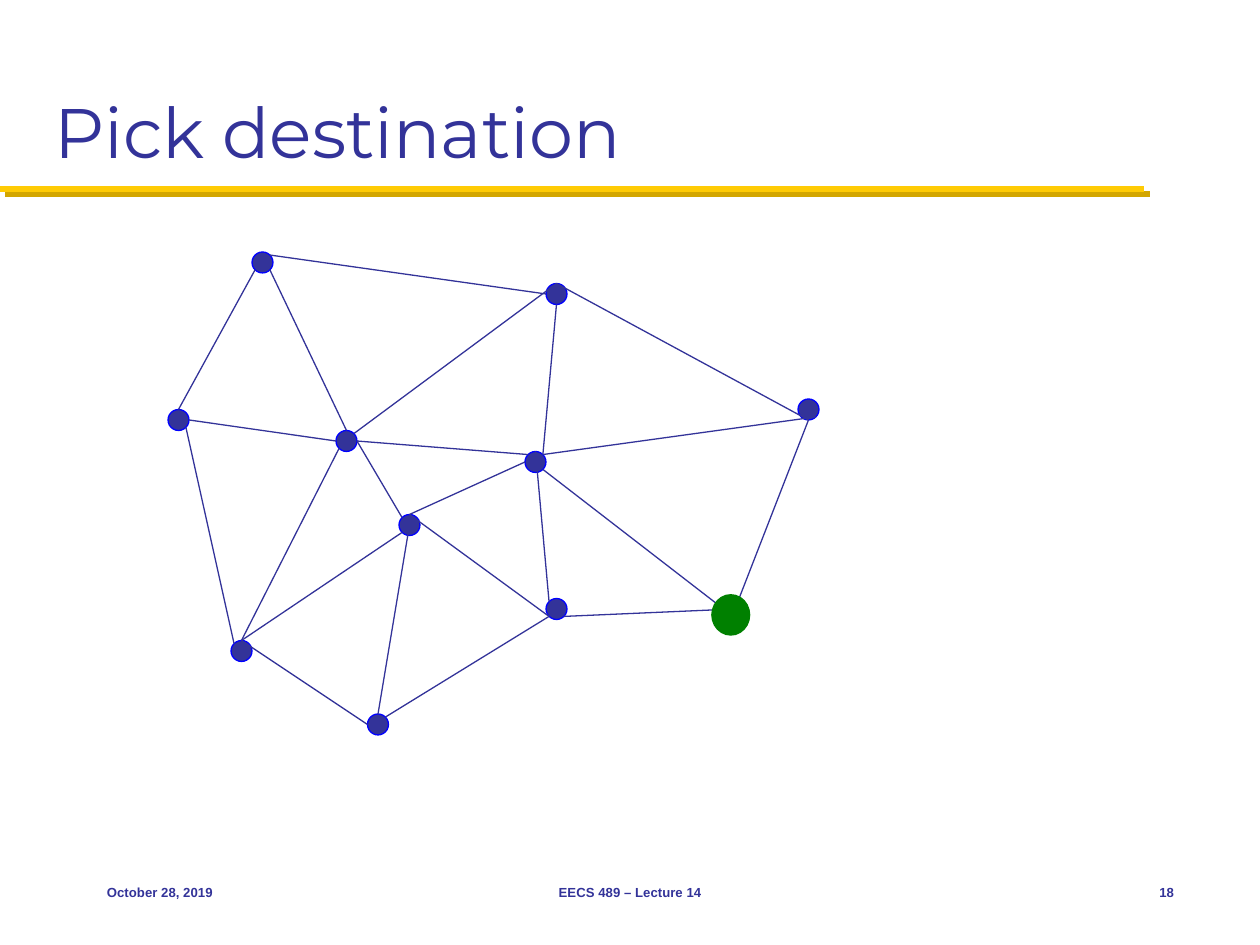
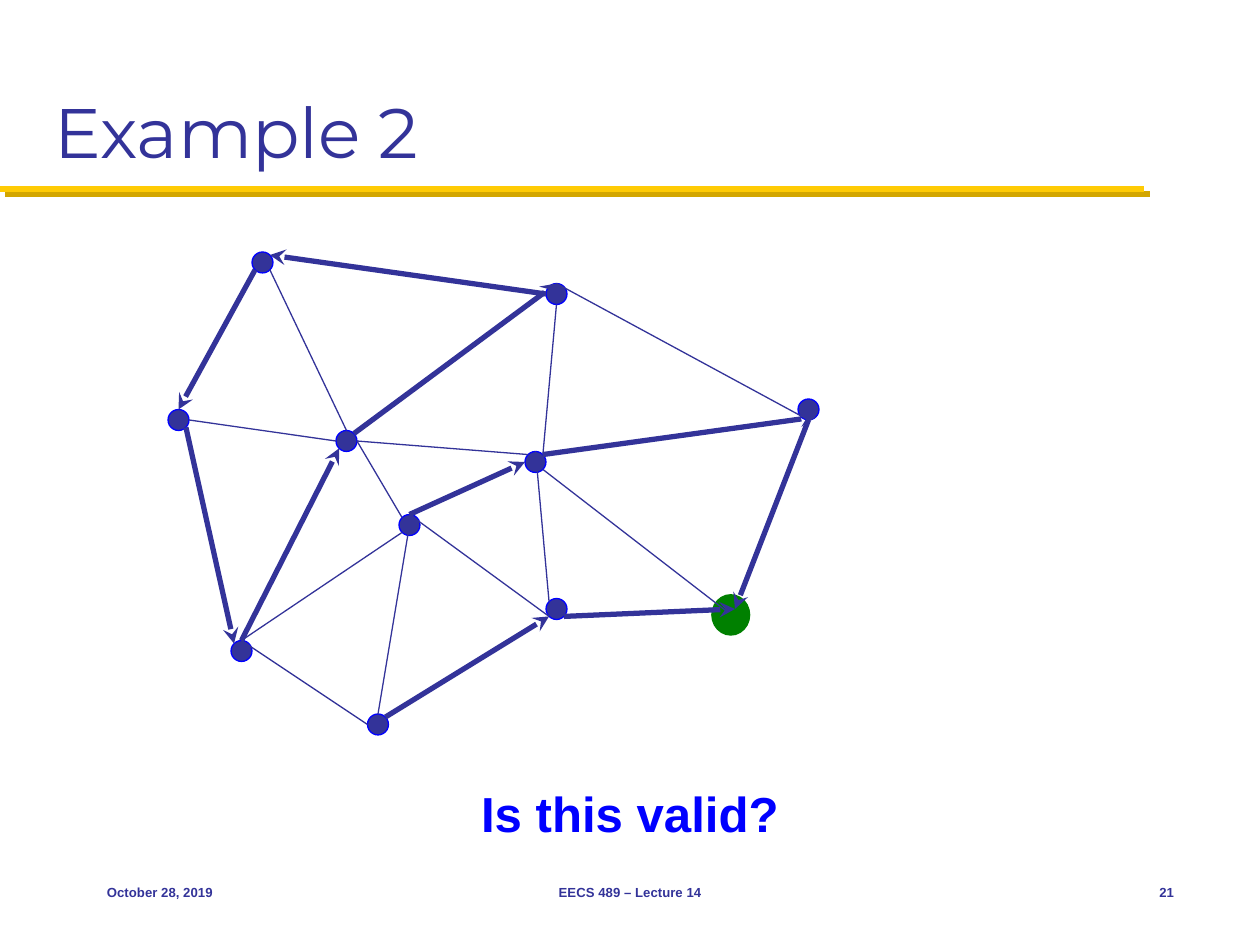
from math import sqrt

from lxml.etree import SubElement
from pptx import Presentation
from pptx.dml.color import RGBColor
from pptx.enum.shapes import MSO_CONNECTOR, MSO_SHAPE
from pptx.enum.text import MSO_ANCHOR, PP_ALIGN
from pptx.oxml.ns import qn
from pptx.util import Inches, Pt

COLORS = {"navy": "333399", "blue": "0000FF", "green": "008000",
          "gold": "FFCB05", "dark_gold": "D3A600"}
CELL = Inches(1) / 12  # the slide is a grid of 120 columns by 90 rows

TITLE = {"name": "Montserrat", "size": Pt(40), "bold": False}
QUESTION = {"name": "Arial", "size": Pt(28.1), "bold": True}
FOOTER = {"name": "Arial", "size": Pt(7.5), "bold": True}

# Centre of each router as (column, row)
ROUTERS = {
    "top_left": (25, 25), "left": (17, 40), "top": (53, 28),
    "low_right": (53, 58), "bottom": (36, 69), "centre_left": (33, 42),
    "right": (77, 39), "middle": (39, 50), "low_left": (23, 62),
    "hub": (51, 44), "destination": (70, 59),
}
ROUTER_RADIUS = 1
DESTINATION_MARK = (67.8, 56.64, 3.6, 3.84)

DIAGONAL = 1 / sqrt(2)
SIDES = {
    "C": (0, 0), "N": (0, -1), "S": (0, 1), "W": (-1, 0), "E": (1, 0),
    "NW": (-DIAGONAL, -DIAGONAL), "NE": (DIAGONAL, -DIAGONAL),
    "SW": (-DIAGONAL, DIAGONAL), "SE": (DIAGONAL, DIAGONAL),
}

# Each link: router and side where it starts, router and side where it ends
PLAIN_LINKS = [
    ("top_left", "SE", "centre_left", "N"),
    ("centre_left", "E", "middle", "NW"),
    ("hub", "SE", "destination", "NW"),
    ("top", "S", "hub", "NE"),
    ("top", "N", "right", "S"),
    ("low_left", "N", "bottom", "W"),
    ("middle", "N", "low_right", "SW"),
    ("hub", "N", "low_right", "NW"),
    ("middle", "C", "bottom", "N"),
    ("centre_left", "E", "hub", "NW"),
    ("left", "E", "centre_left", "W"),
    ("low_left", "N", "middle", "SW"),
]
NEXT_HOPS = [
    ("top_left", "SW", "left", "N"),
    ("left", "SE", "low_left", "NW"),
    ("low_right", "SE", "destination", "N"),
    ("bottom", "NE", "low_right", "SW"),
    ("low_left", "N", "centre_left", "SW"),
    ("middle", "N", "hub", "W"),
    ("hub", "NE", "right", "SE"),
    ("top", "W", "top_left", "NE"),
    ("centre_left", "NE", "top", "N"),
    ("right", "S", "destination", "N"),
]


def rgb(color):
    return RGBColor.from_string(COLORS[color])


def grid(*cells):
    return [round(cell * CELL) for cell in cells]


def add_label(slide, text, box, font_format, color="navy",
              align=PP_ALIGN.LEFT, anchor=MSO_ANCHOR.MIDDLE):
    frame = slide.shapes.add_textbox(*grid(*box)).text_frame
    frame.word_wrap = True
    frame.vertical_anchor = anchor
    paragraph = frame.paragraphs[0]
    paragraph.alignment = align
    run = paragraph.add_run()
    run.text = text
    for attribute, value in font_format.items():
        setattr(run.font, attribute, value)
    run.font.color.rgb = rgb(color)


def add_line(slide, start, end, color, width):
    """Draw a straight line; return it with its empty effect list."""
    line = slide.shapes.add_connector(MSO_CONNECTOR.STRAIGHT,
                                      *grid(*start, *end))
    line.line.color.rgb = rgb(color)
    line.line.width = Pt(width)
    effects = SubElement(line._element.spPr, qn("a:effectLst"))
    return line, effects


def add_title_band(slide):
    _, effects = add_line(slide, (0, 18), (109, 18), "gold", 3.5)
    shadow = SubElement(effects, qn("a:outerShdw"), dist=str(Pt(4.2)),
                        dir="2700000", algn="ctr", rotWithShape="0")
    SubElement(shadow, qn("a:srgbClr"), val=COLORS["dark_gold"])


def add_dot(slide, box, fill, outline):
    dot = slide.shapes.add_shape(MSO_SHAPE.OVAL, *grid(*box))
    dot.shadow.inherit = False
    dot.fill.solid()
    dot.fill.fore_color.rgb = rgb(fill)
    dot.line.color.rgb = rgb(outline)
    dot.line.width = Pt(0.75)


def add_routers(slide, names):
    for name in names:
        column, row = ROUTERS[name]
        box = (column - ROUTER_RADIUS, row - ROUTER_RADIUS,
               2 * ROUTER_RADIUS, 2 * ROUTER_RADIUS)
        add_dot(slide, box, "navy", "blue")


def mark_destination(slide):
    add_dot(slide, DESTINATION_MARK, "green", "green")


def router_edge(name, side):
    return [centre + ROUTER_RADIUS * step
            for centre, step in zip(ROUTERS[name], SIDES[side])]


def add_links(slide, links, directed=False):
    for origin, origin_side, target, target_side in links:
        link, _ = add_line(slide, router_edge(origin, origin_side),
                           router_edge(target, target_side),
                           "navy", 3 if directed else 0.75)
        if directed:
            SubElement(link.line._get_or_add_ln(), qn("a:tailEnd"),
                       type="stealth")


def start_slide(deck, title, number):
    """Add a slide with the shared title, band and footer."""
    slide = deck.slides.add_slide(deck.slide_layouts[6])
    add_title_band(slide)
    add_label(slide, title, (4, 2, 112, 15), TITLE, anchor=MSO_ANCHOR.BOTTOM)
    footers = [
        ("October 28, 2019", 9, 25, PP_ALIGN.LEFT),
        ("EECS 489 – Lecture 14", 41, 38, PP_ALIGN.CENTER),
        (str(number), 105, 8, PP_ALIGN.RIGHT),
    ]
    for text, column, width, align in footers:
        add_label(slide, text, (column, 82, width, 6), FOOTER, align=align)
    return slide


def add_destination_slide(deck):
    slide = start_slide(deck, "Pick destination", 18)
    add_routers(slide, ROUTERS)
    add_links(slide, PLAIN_LINKS + NEXT_HOPS)
    mark_destination(slide)


def add_example_slide(deck):
    slide = start_slide(deck, "Example 2", 21)
    mark_destination(slide)
    add_routers(slide, [name for name in ROUTERS if name != "destination"])
    add_links(slide, PLAIN_LINKS)
    add_links(slide, NEXT_HOPS, directed=True)
    add_label(slide, "Is this valid?", (21, 74, 78, 6.84), QUESTION, "blue",
              PP_ALIGN.CENTER, MSO_ANCHOR.TOP)


def main():
    deck = Presentation()
    deck.slide_width, deck.slide_height = grid(120, 90)
    add_destination_slide(deck)
    add_example_slide(deck)
    deck.save("out.pptx")


if __name__ == "__main__":
    main()
